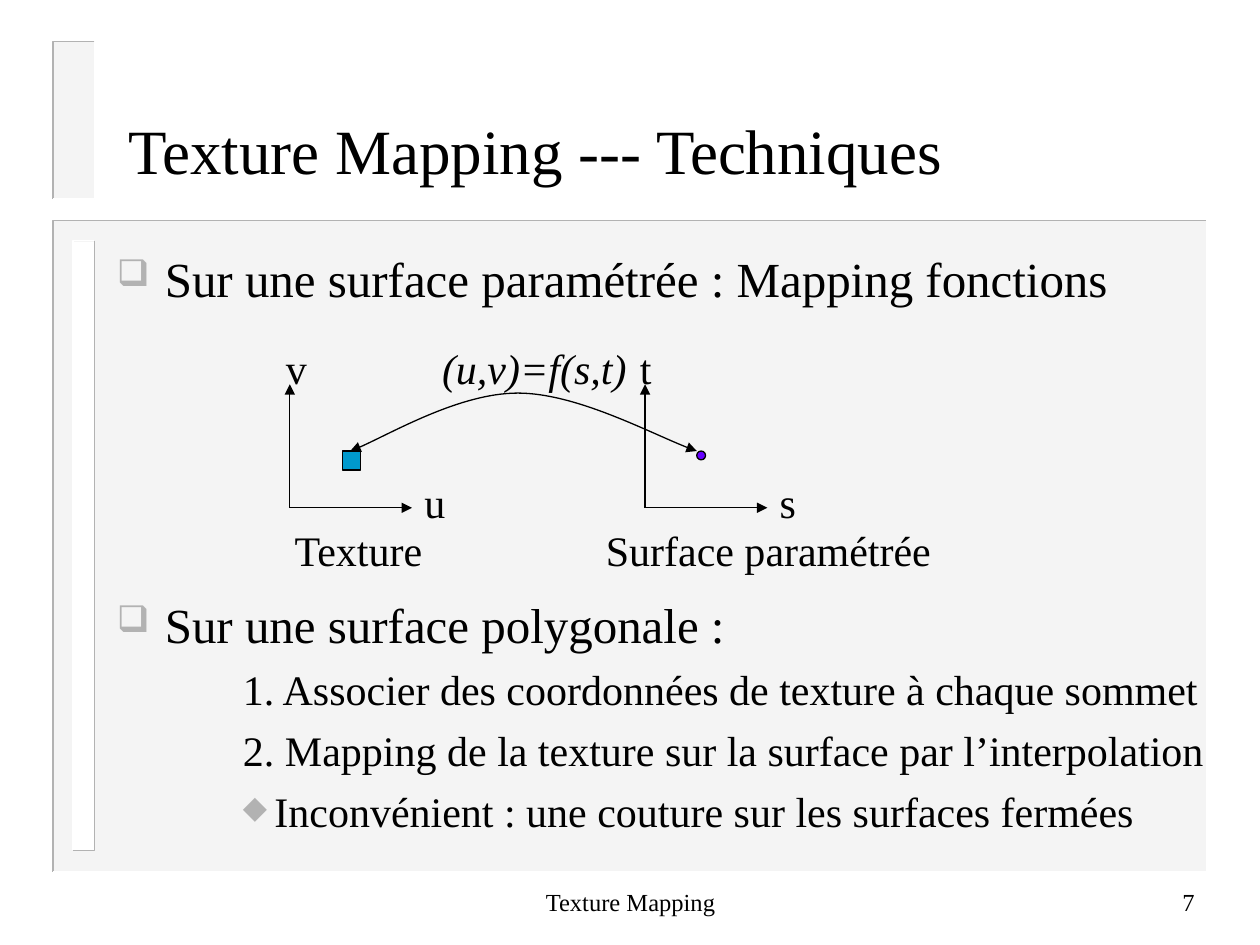
import pptx
import pptx.dml.color
import pptx.enum.shapes
import pptx.enum.text
import pptx.oxml
import pptx.oxml.ns
import pptx.util
from pptx.util import Inches

COLORS = {
    "text": "000000",
    "panel": "EAEAEA",
    "edge": "B2B2B2",
    "white": "FFFFFF",
    "texel": "0099CC",
    "point": "6600FF",
}
FONT = "Times New Roman"
ALIGN = pptx.enum.text.PP_ALIGN
ANCHOR = pptx.enum.text.MSO_ANCHOR
SHAPE = pptx.enum.shapes.MSO_SHAPE
qn = pptx.oxml.ns.qn


def rgb(name):
    return pptx.dml.color.RGBColor.from_string(COLORS[name])


def add_xml(parent, tag, **attributes):
    element = parent.makeelement(qn(tag), attributes)
    parent.append(element)
    return element


class SlideBuilder:
    def __init__(self, slide):
        self.slide = slide
        self.shapes = slide.shapes

    def shape(self, kind, left, top, width, height, fill, line=None, alpha=None):
        item = self.shapes.add_shape(
            kind, Inches(left), Inches(top), Inches(width), Inches(height))
        item.shadow.inherit = False
        item.fill.solid()
        item.fill.fore_color.rgb = rgb(fill)
        if alpha:
            color = item.fill._xPr.find(".//" + qn("a:srgbClr"))
            add_xml(color, "a:alpha", val=str(alpha * 1000))
        if line:
            self.stroke(item.line, line, 0.75)
        else:
            item.line.fill.background()
        return item

    def stroke(self, line, color, width, *arrow_ends):
        line.color.rgb = rgb(color)
        line.width = pptx.util.Pt(width)
        for end in arrow_ends:
            add_xml(line._get_or_add_ln(), "a:" + end, type="triangle")

    def outline(self, points, color, width, *arrow_ends):
        start, *others = [(Inches(x), Inches(y)) for x, y in points]
        builder = self.shapes.build_freeform(*start)
        builder.add_line_segments(others, close=False)
        item = builder.convert_to_shape()
        item.shadow.inherit = False
        item.fill.background()
        self.stroke(item.line, color, width, *arrow_ends)
        return item

    def curve(self, points, color):
        """Draw Bezier arcs: a start, then two controls and an end for each arc."""
        item = self.outline(points, color, 0.75, "headEnd", "tailEnd")
        path = item._element.find(".//" + qn("a:path"))
        segments = path.findall(qn("a:lnTo"))
        for first in range(0, len(segments), 3):
            arc = add_xml(path, "a:cubicBezTo")
            for segment in segments[first:first + 3]:
                arc.append(segment[0])
                path.remove(segment)

    def bevel(self, left, top, right, bottom, upper, lower):
        """Draw the top-left and bottom-right edges of a panel."""
        for corner, color in (((left, top), upper), ((right, bottom), lower)):
            self.outline([(right, top), corner, (left, bottom)], color, 1)

    def arrow(self, start, end):
        item = self.shapes.add_connector(
            pptx.enum.shapes.MSO_CONNECTOR.STRAIGHT,
            *[Inches(value) for value in (*start, *end)])
        self.stroke(item.line, "text", 0.75, "tailEnd")
        add_xml(item._element.spPr, "a:effectLst")

    def format(self, paragraph, size, italic=None):
        for run in paragraph.runs:
            run.font.name = FONT
            run.font.size = pptx.util.Pt(size)
            run.font.italic = italic
            run.font.color.rgb = rgb("text")

    def text(self, content, left, top, width, height, size,
             align=ALIGN.LEFT, anchor=ANCHOR.MIDDLE):
        box = self.shapes.add_textbox(
            Inches(left), Inches(top), Inches(width), Inches(height))
        frame = box.text_frame
        frame.word_wrap = True
        frame.vertical_anchor = anchor
        frame.text = content
        frame.paragraphs[0].alignment = align
        self.format(frame.paragraphs[0], size)
        return frame

    def label(self, content, left, top, width, italic=None):
        frame = self.text(content, left, top, width, 0.5, 24, anchor=ANCHOR.TOP)
        frame.word_wrap = False
        frame.auto_size = pptx.enum.text.MSO_AUTO_SIZE.SHAPE_TO_FIT_TEXT
        self.format(frame.paragraphs[0], 24, italic)

    def indent(self, paragraph, margin, hanging, bullet=None):
        properties = paragraph._p.get_or_add_pPr()
        properties.set("marL", str(Inches(margin)))
        properties.set("indent", str(-Inches(hanging)))
        if bullet:
            add_xml(add_xml(properties, "a:buClr"), "a:srgbClr", val=COLORS["edge"])
            add_xml(properties, "a:buSzPct", val="75000")
            add_xml(properties, "a:buChar", char=bullet)

    def outline_text(self, top, height, heading, items=()):
        """Write a heading with a box bullet and its (text, bullet) items."""
        frame = self.text(heading, 0.83, top, 8.92, height, 28, anchor=ANCHOR.TOP)
        self.indent(frame.paragraphs[0], 0.38, 0.38, "❑")
        for content, bullet in items:
            paragraph = frame.add_paragraph()
            paragraph.text = content
            self.indent(paragraph, 1.25, 0.25, bullet)
            paragraph.space_before = pptx.util.Pt(6)
            self.format(paragraph, 24)


def main():
    deck = pptx.Presentation()
    deck.slide_width, deck.slide_height = Inches(10), Inches(7.5)
    page = SlideBuilder(deck.slides.add_slide(deck.slide_layouts[6]))

    # Background panels with bevelled edges
    page.shape(SHAPE.RECTANGLE, 0.43, 1.75, 9.15, 5.17, "panel", alpha=50)
    page.bevel(0.42, 1.75, 9.58, 6.92, "edge", "white")
    page.shape(SHAPE.RECTANGLE, 0.58, 1.92, 0.17, 4.83, "white")
    page.bevel(0.58, 1.91, 0.75, 6.75, "white", "edge")
    page.shape(SHAPE.RECTANGLE, 0.42, 0.33, 0.33, 1.25, "panel", alpha=50)
    page.bevel(0.42, 0.33, 0.75, 1.58, "edge", "white")

    # Title and body
    page.text("Texture Mapping --- Techniques", 0.92, 0.79, 8.5, 0.79, 36)
    page.outline_text(1.92, 0.6, "Sur une surface paramétrée : Mapping fonctions")
    page.outline_text(4.67, 2.13, "Sur une surface polygonale :", [
        ("1. Associer des coordonnées de texture à chaque sommet", None),
        ("2. Mapping de la texture sur la surface par l’interpolation", None),
        ("Inconvénient : une couture sur les surfaces fermées", "◆"),
    ])

    # Texture axes (u, v) and surface axes (s, t)
    origin_y = 4.03
    for origin_x, across, up, up_left in ((2.3, "u", "v", 2.17), (5.12, "s", "t", 4.98)):
        page.arrow((origin_x, origin_y), (origin_x + 0.97, origin_y))
        page.arrow((origin_x, origin_y), (origin_x, origin_y - 0.98))
        page.label(across, origin_x + 0.97, 3.73, 0.36)
        page.label(up, up_left, 2.67, 0.36)
    page.label("Texture", 2.24, 4.11, 1.23)
    page.label("Surface paramétrée", 4.71, 4.11, 2.78)

    # Mapping between the texel and the surface point
    page.shape(SHAPE.RECTANGLE, 2.72, 3.58, 0.14, 0.15, "texel", "text")
    page.shape(SHAPE.OVAL, 5.53, 3.58, 0.07, 0.07, "point", "text")
    page.curve([(2.78, 3.58), (3, 3.5), (3.65, 3.12), (4.11, 3.12),
                (4.57, 3.12), (5.24, 3.48), (5.53, 3.58)], "text")
    page.label("(u,v)=f(s,t)", 3.41, 2.67, 1.75, italic=True)

    # Footer
    page.text("Texture Mapping", 3.42, 6.91, 3.17, 0.5, 14, ALIGN.CENTER)
    page.text("7", 7.5, 6.91, 2.08, 0.5, 14, ALIGN.RIGHT)

    deck.save("out.pptx")


if __name__ == "__main__":
    main()
